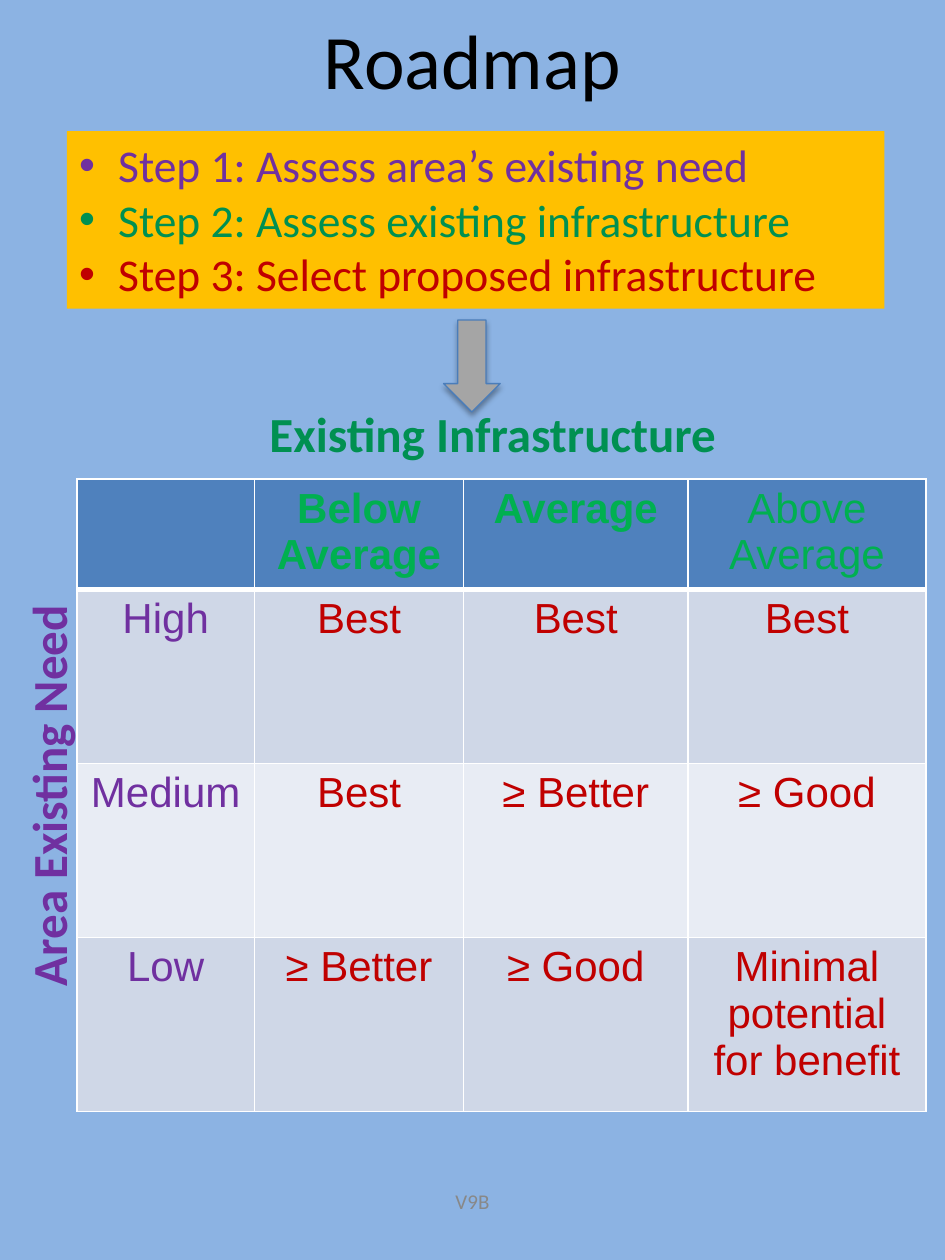
from lxml import etree
from pptx import Presentation
from pptx.dml.color import RGBColor
from pptx.enum.shapes import MSO_SHAPE
from pptx.enum.text import MSO_ANCHOR, PP_ALIGN
from pptx.oxml import parse_xml
from pptx.oxml.ns import nsdecls, qn
from pptx.util import Inches, Pt

RECT = MSO_SHAPE.RECTANGLE
DOWN = MSO_SHAPE.DOWN_ARROW
LEFT = PP_ALIGN.LEFT
CENTER = PP_ALIGN.CENTER
TOP = MSO_ANCHOR.TOP
MIDDLE = MSO_ANCHOR.MIDDLE

SKY = RGBColor(0x8C, 0xB3, 0xE3)
GOLD = RGBColor(0xFF, 0xC0, 0x00)
PURPLE = RGBColor(0x70, 0x30, 0xA0)
GREEN = RGBColor(0x00, 0x90, 0x51)
LIME = RGBColor(0x00, 0xB0, 0x50)
RED = RGBColor(0xC0, 0x00, 0x00)
GRAY = RGBColor(0xA5, 0xA5, 0xA5)
DIM = RGBColor(0x88, 0x88, 0x88)
EDGE = RGBColor(0x4A, 0x7D, 0xBA)
BLUE = RGBColor(0x4F, 0x81, 0xBD)
BAND = RGBColor(0xCF, 0xD7, 0xE7)
PALE = RGBColor(0xE8, 0xEC, 0xF4)
WHITE = RGBColor(0xFF, 0xFF, 0xFF)
BLACK = RGBColor(0x00, 0x00, 0x00)

STEPS = [
    ("Step 1: Assess area’s existing need", PURPLE),
    ("Step 2: Assess existing infrastructure", GREEN),
    ("Step 3: Select proposed infrastructure", RED),
]
COLS = [1.41, 1.66, 1.78, 1.89]
ROWS = [0.88, 1.38, 1.38, 1.38]
GRID = [
    ["", "Below Average", "Average", "Above Average"],
    ["High", "Best", "Best", "Best"],
    ["Medium", "Best", "≥ Better", "≥ Good"],
    ["Low", "≥ Better", "≥ Good", "Minimal potential for benefit"],
]


def inches(box):
    return [Inches(n) for n in box]


def style(para, size, color, bold=False, name="Calibri", align=CENTER):
    para.alignment = align
    font = para.font
    font.name, font.size, font.bold = name, Pt(size), bold
    font.color.rgb = color


def add_label(slide, box, text, size, color, bold=False, align=CENTER,
              anchor=TOP, pad=0.05, turn=0):
    label = slide.shapes.add_textbox(*inches(box))
    label.rotation = turn
    frame = label.text_frame
    frame.word_wrap = True
    frame.vertical_anchor = anchor
    frame.margin_top = frame.margin_bottom = Inches(pad)
    frame.text = text
    style(frame.paragraphs[0], size, color, bold, align=align)


def add_steps(slide, box):
    panel = slide.shapes.add_shape(RECT, *inches(box))
    panel.shadow.inherit = False
    panel.fill.solid()
    panel.fill.fore_color.rgb = GOLD
    panel.line.fill.background()
    frame = panel.text_frame
    frame.word_wrap = True
    frame.vertical_anchor = TOP
    frame.text = "\n".join(text for text, _ in STEPS)
    for para, (_, color) in zip(frame.paragraphs, STEPS):
        props = para._p.get_or_add_pPr()
        props.set("marL", str(Inches(0.31)))
        props.set("indent", str(-Inches(0.31)))
        tint = etree.SubElement(props, qn("a:buClr"))
        etree.SubElement(tint, qn("a:srgbClr"), val=str(color))
        etree.SubElement(props, qn("a:buFont"), typeface="Arial")
        etree.SubElement(props, qn("a:buChar"), char="•")
        style(para, 26, color, align=LEFT)


def add_arrow(slide, box):
    arrow = slide.shapes.add_shape(DOWN, *inches(box))
    arrow.fill.solid()
    arrow.fill.fore_color.rgb = GRAY
    arrow.line.color.rgb = EDGE
    arrow.line.width = Pt(0.75)
    arrow.shadow.inherit = False
    glow = arrow._element.spPr.find(qn("a:effectLst"))
    glow.append(parse_xml(
        f'<a:outerShdw {nsdecls("a")} blurRad="{Pt(3.1)}" dist="{Pt(1.8)}" '
        'dir="5400000" rotWithShape="0"><a:srgbClr val="000000">'
        '<a:alpha val="33000"/></a:srgbClr></a:outerShdw>'))


def set_edges(cell, widths):
    props = cell._tc.get_or_add_tcPr()
    for spot, (side, width) in enumerate(zip("LRTB", widths)):
        props.insert(spot, parse_xml(
            f'<a:ln{side} {nsdecls("a")} w="{Pt(width)}"><a:solidFill>'
            f'<a:srgbClr val="{WHITE}"/></a:solidFill></a:ln{side}>'))


def add_matrix(slide, box):
    table = slide.shapes.add_table(len(ROWS), len(COLS), *inches(box)).table
    for col, width in zip(table.columns, COLS):
        col.width = Inches(width)
    for r, words in enumerate(GRID):
        table.rows[r].height = Inches(ROWS[r])
        for c, text in enumerate(words):
            cell = table.cell(r, c)
            cell.margin_left = cell.margin_right = Inches(0.09)
            cell.fill.solid()
            cell.fill.fore_color.rgb = BLUE if r == 0 else BAND if r % 2 else PALE
            set_edges(cell, (1, 1, 3 if r == 1 else 1, 3 if r == 0 else 1))
            cell.text = text
            color = LIME if r == 0 else PURPLE if c == 0 else RED
            style(cell.text_frame.paragraphs[0], 24, color,
                  r == 0 and c < 3, "Arial")


def build_slide(deck):
    slide = deck.slides.add_slide(deck.slide_layouts[6])
    slide.background.fill.solid()
    slide.background.fill.fore_color.rgb = SKY
    add_steps(slide, (0.53, 1.04, 6.49, 1.41))
    add_arrow(slide, (3.52, 2.54, 0.45, 0.73))
    add_matrix(slide, (0.61, 3.8, sum(COLS), sum(ROWS)))
    add_label(slide, (2.04, 3.15, 3.88, 0.57), "Existing Infrastructure",
              28, GREEN, True, LEFT)
    add_label(slide, (-2.14, 6.03, 5.04, 0.57), "Area Existing Need",
              28, PURPLE, True, turn=270)
    add_label(slide, (0, 0, 7.5, 0.79), "Roadmap", 44, BLACK, pad=0.1)
    add_label(slide, (2.56, 9.27, 2.38, 0.53), "V9B", 12, DIM, anchor=MIDDLE)


def main():
    deck = Presentation()
    deck.slide_width, deck.slide_height = Inches(7.5), Inches(10)
    build_slide(deck)
    deck.save("out.pptx")


if __name__ == "__main__":
    main()
